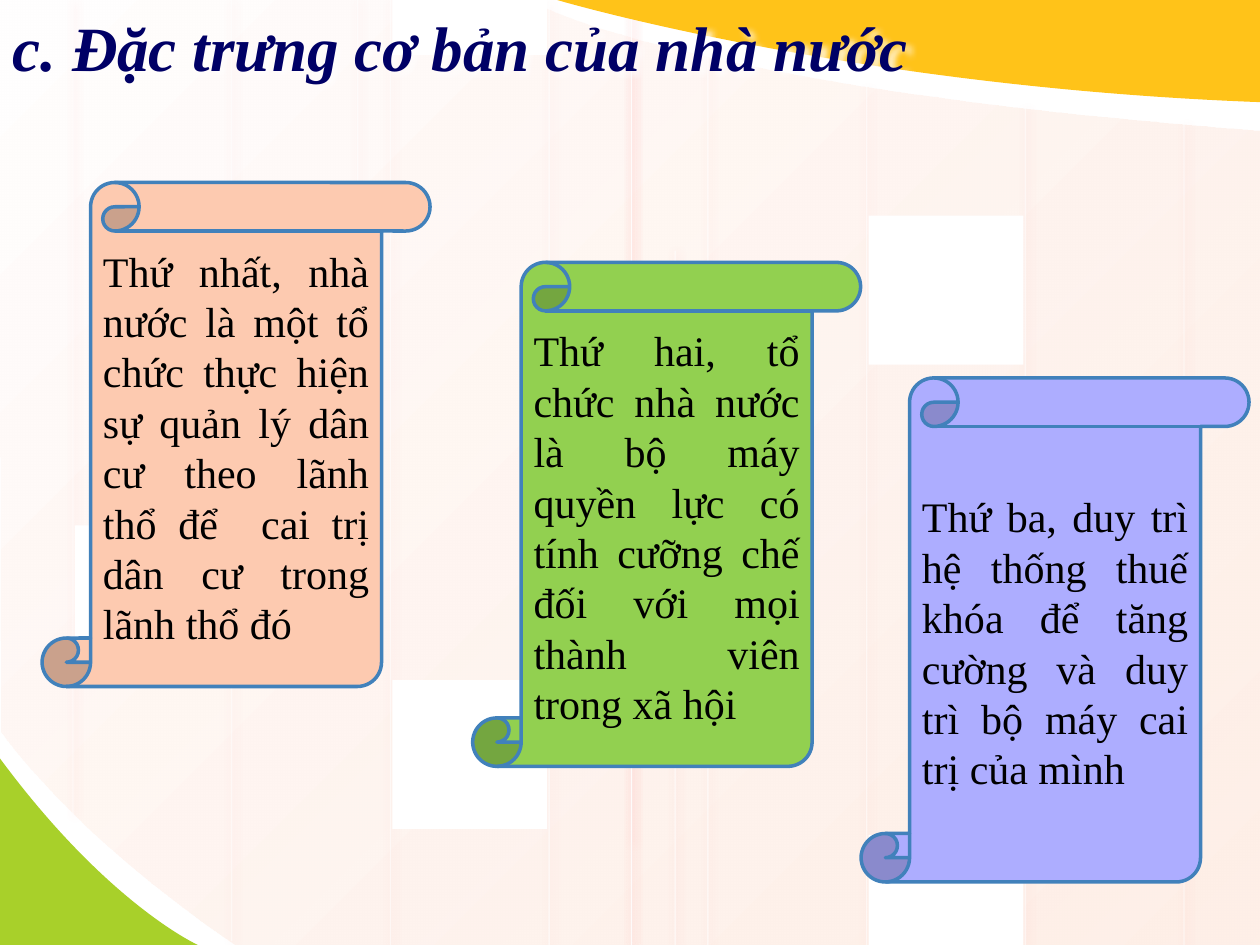
import pptx
import pptx.util
import pptx.dml.color
import pptx.enum.shapes
import pptx.enum.text
import pptx.oxml
import pptx.oxml.ns

Cm, Pt = pptx.util.Cm, pptx.util.Pt
MSO_SHAPE = pptx.enum.shapes.MSO_SHAPE
PP_ALIGN = pptx.enum.text.PP_ALIGN
W, H = 25.4, 19.05
FONT = "Times New Roman"


def rgb(value):
    return pptx.dml.color.RGBColor.from_string(value)


def set_alpha(color_element, percent):
    alpha = color_element.makeelement(pptx.oxml.ns.qn("a:alpha"), {"val": str(percent * 1000)})
    color_element.append(alpha)


def add_shadow(shape, color, percent, blur, dist):
    shape._element.spPr.append(pptx.oxml.parse_xml(
        f'<a:effectLst {pptx.oxml.ns.nsdecls("a")}>'
        f'<a:outerShdw blurRad="{Pt(blur)}" dist="{Pt(dist)}" dir="2700000" algn="tl" '
        f'rotWithShape="0"><a:srgbClr val="{color}"><a:alpha val="{percent * 1000}"/>'
        '</a:srgbClr></a:outerShdw></a:effectLst>'))


def style_text(tf, text, size, color, align):
    tf.word_wrap = True
    tf.auto_size = pptx.enum.text.MSO_AUTO_SIZE.NONE
    tf.vertical_anchor = pptx.enum.text.MSO_ANCHOR.MIDDLE
    p = tf.paragraphs[0]
    p.alignment = align
    r = p.add_run()
    r.text = text
    r.font.name = FONT
    r.font.size = Pt(size)
    r.font.color.rgb = rgb(color)
    return r


def fill_solid(sp, color):
    sp.fill.solid()
    sp.fill.fore_color.rgb = rgb(color)


def add_outline(s, points, curve_starts):
    """Closed outline; each index in curve_starts begins a Bezier of three points."""
    points = [(Cm(x), Cm(y)) for x, y in points]
    builder = s.shapes.build_freeform(*points[0])
    builder.add_line_segments(points[1:], close=True)
    sp = builder.convert_to_shape()
    segments = sp._element.xpath(".//a:lnTo")
    for start in curve_starts:
        first = segments[start - 1]
        bezier = first.makeelement(pptx.oxml.ns.qn("a:cubicBezTo"), {})
        first.addprevious(bezier)
        for segment in segments[start - 1:start + 2]:
            bezier.append(segment[0])
            segment.getparent().remove(segment)
    sp.shadow.inherit = False
    sp.line.fill.background()
    return sp


def add_streak(s, x, top, bottom):
    line = s.shapes.add_connector(pptx.enum.shapes.MSO_CONNECTOR.STRAIGHT,
                                  Cm(x), Cm(top), Cm(x), Cm(bottom))
    line.line.width = Pt(0.75)
    line.line.color.rgb = rgb("FFFFFF")
    set_alpha(line._element.spPr.xpath(".//a:srgbClr")[0], 50)
    add_shadow(line, "FF7575", 35, 5, 1.4)


def add_backdrop(s):
    # Tinted panel with curved corners
    panel = add_outline(s, [(W, H), (4.75, H), (1.37, 16.76), (0.03, 14.73), (0.03, 14.76),
                            (0, 0), (10.67, 0), (10.67, 0.03), (13.61, 1.75), (W, 2.64)], (2, 7))
    panel.fill.gradient()
    panel.fill.gradient_angle = 315
    for stop, color in zip(panel.fill.gradient_stops, ("FFFEFE", "FEE9DE")):
        stop.color.rgb = rgb(color)
    set_alpha(panel._element.spPr.xpath(".//a:gs/a:srgbClr")[-1], 70)

    # Green corner
    corner = add_outline(s, [(0, H), (3.99, H), (3.99, H), (2.18, 18.24), (0, 15.29)], (2,))
    fill_solid(corner, "A8D02A")

    # Evenly spaced streaks, then the ones near the middle
    pitch = 3.2
    spans = [(0, 16.41), (0, 18.97), (0, H), (0, H), (1.09, H), (1.73, H), (2.16, H), (2.49, H)]
    for i, (top, bottom) in enumerate(spans):
        add_streak(s, 1.47 + i * pitch, top, bottom)
    for x, top, bottom in [(7.21, 0, 8.38), (12.73, 0, 16.99), (12.73, 0, H), (12.73, 0, H),
                           (12.73, 0.94, H), (13.61, 5.05, H)]:
        add_streak(s, x, top, bottom)

    # White squares on a grid, cut at the slide edges
    for col, row in [(3, 1), (6, 3), (0, 2), (5, 4), (2, -2), (2, 3), (5, 0)]:
        y = 4.35 + row * 3.12
        top, bottom = max(y, 0), min(y + 3, H)
        square = s.shapes.add_shape(MSO_SHAPE.RECTANGLE, Cm(1.51 + col * pitch), Cm(top),
                                    Cm(3.12), Cm(bottom - top))
        square.shadow.inherit = False
        square.line.fill.background()
        fill_solid(square, "FFFFFF")

    # Yellow sweep
    sweep = add_outline(s, [(W, 0), (11.23, 0), (11.23, 0), (17.12, 1.75), (W, 2.06)], (2,))
    fill_solid(sweep, "FFC319")


def move_to_master(shapes, master):
    """Place the shapes behind the master's placeholders."""
    tree = master.shapes._spTree
    for i, shape in enumerate(shapes):
        shape._element.xpath(".//p:cNvPr")[0].set("id", str(100 + i))
        tree.insert(2 + i, shape._element)


def add_title(s, text, left, top, width, height):
    title = s.shapes.title
    title.left, title.top, title.width, title.height = Cm(left), Cm(top), Cm(width), Cm(height)
    r = style_text(title.text_frame, text, 36, "000066", PP_ALIGN.LEFT)
    r.font.bold = r.font.italic = True
    add_shadow(title, "FFFFFF", 80, 4, 3)


def add_scroll(s, text, color, left, top, width=7.82, height=10.16):
    sp = s.shapes.add_shape(MSO_SHAPE.VERTICAL_SCROLL, Cm(left), Cm(top), Cm(width), Cm(height))
    sp.shadow.inherit = False
    fill_solid(sp, color)
    sp.line.color.rgb = rgb("4181BB")
    sp.line.width = Pt(2)
    style_text(sp.text_frame, text, 24, "000000", PP_ALIGN.JUSTIFY)


def main():
    prs = pptx.Presentation()
    prs.slide_width, prs.slide_height = Cm(W), Cm(H)
    s = prs.slides.add_slide(prs.slide_layouts.get_by_name("Title Only"))
    add_backdrop(s)
    move_to_master([shape for shape in s.shapes if not shape.is_placeholder], prs.slide_master)
    add_title(s, "c. Đặc trưng cơ bản của nhà nước", 0, 0.08, 24.97, 1.7)

    # Three features
    add_scroll(s, "Thứ nhất, nhà nước là một tổ chức thực hiện sự quản lý dân cư theo lãnh thổ "
                  "để  cai trị dân cư trong lãnh thổ đó", "FDCAB0", 0.85, 3.68)
    add_scroll(s, "Thứ hai, tổ chức nhà nước là bộ máy quyền lực có tính cưỡng chế đối với mọi "
                  "thành viên trong xã hội", "92D050", 9.53, 5.29)
    add_scroll(s, "Thứ ba, duy trì hệ thống thuế khóa để tăng cường và duy trì bộ máy cai trị "
                  "của mình", "ADADFF", 17.36, 7.62)
    prs.save("out.pptx")


if __name__ == "__main__":
    main()
